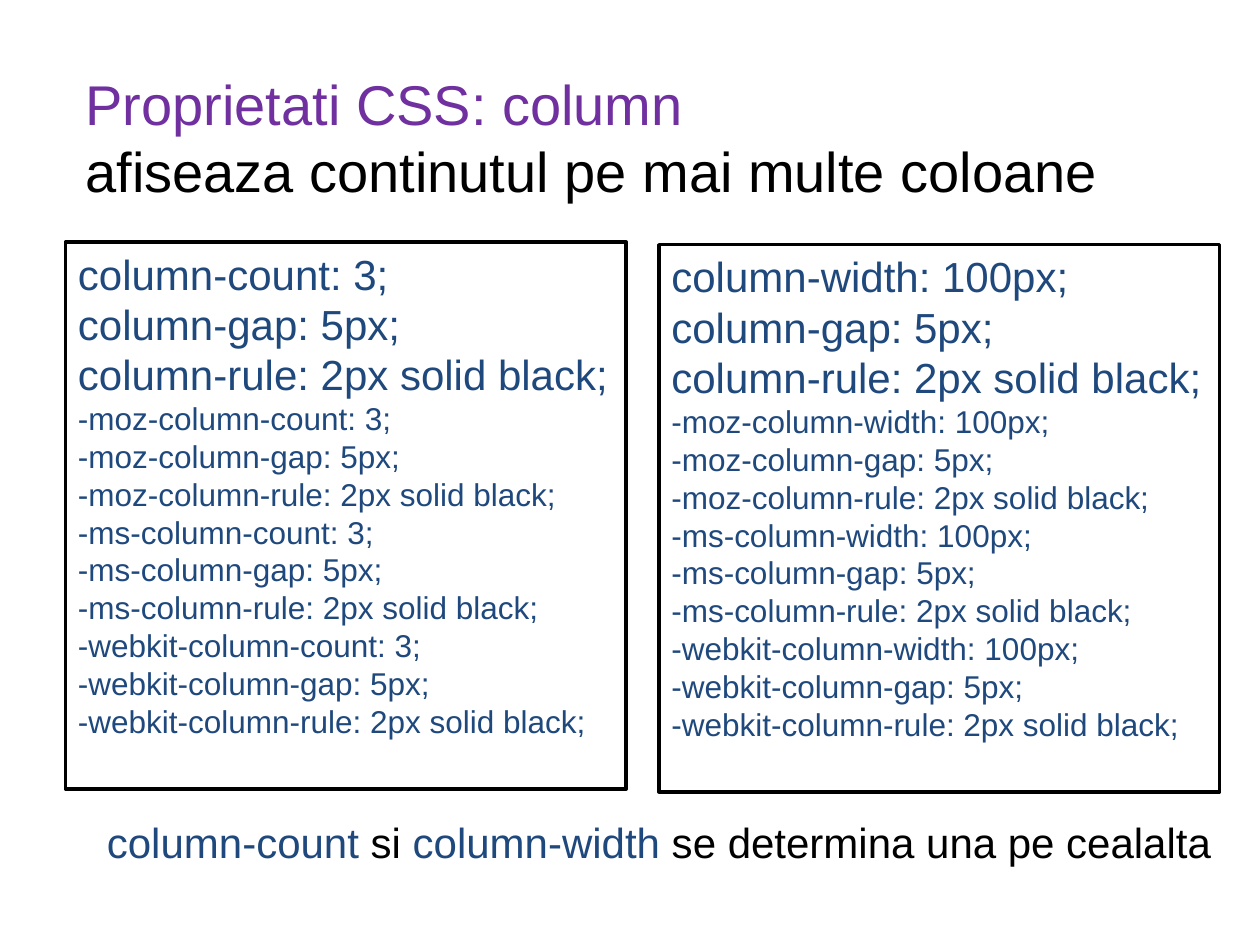
"""Build the slide on the CSS column properties."""
from dataclasses import dataclass

from pptx import Presentation
from pptx import util as u
from pptx.dml.color import RGBColor
from pptx.enum import shapes, text


@dataclass(frozen=True)
class Theme:
    """Colours, type sizes and line width of the slide."""
    font: str = "Arial"
    ink: str = "000000"
    paper: str = "FFFFFF"
    title: str = "7030A0"
    code: str = "1F497D"
    title_size: int = 32
    code_size: int = 24
    prefix_size: int = 18
    border: int = 2


@dataclass(frozen=True)
class Span:
    """A stretch of text in one format."""
    words: str
    size: int
    color: str


@dataclass(frozen=True)
class Block:
    """A text area placed by shares of the slide's size."""
    left: float
    top: float
    width: float
    height: float
    lines: list[list[Span]]
    framed: bool = False


THEME = Theme()
WIDTH, HEIGHT = u.Inches(10), u.Inches(7.5)
PREFIXES = ("", "-moz-", "-ms-", "-webkit-")


def code_lines(first: str) -> list[list[Span]]:
    """List the declarations once for each vendor prefix."""
    rules = (first, "column-gap: 5px;", "column-rule: 2px solid black;")
    return [
        [Span(prefix + rule, THEME.prefix_size if prefix else THEME.code_size, THEME.code)]
        for prefix in PREFIXES for rule in rules
    ]


def draw_block(page, block: Block) -> None:
    """Draw a text area, with a border where it is framed."""
    place = (int(WIDTH * block.left), int(HEIGHT * block.top),
             int(WIDTH * block.width), int(HEIGHT * block.height))
    if block.framed:
        box = page.shapes.add_shape(shapes.MSO_SHAPE.RECTANGLE, *place)
        box.shadow.inherit = False
        box.fill.solid()
        box.fill.fore_color.rgb = RGBColor.from_string(THEME.paper)
        box.line.color.rgb = RGBColor.from_string(THEME.ink)
        box.line.width = u.Pt(THEME.border)
    else:
        box = page.shapes.add_textbox(*place)
    frame = box.text_frame
    layout = {"word_wrap": True, "vertical_anchor": text.MSO_ANCHOR.TOP}
    for name, value in layout.items():
        setattr(frame, name, value)
    for index, line in enumerate(block.lines):
        para = frame.add_paragraph() if index else frame.paragraphs[0]
        para.alignment = text.PP_ALIGN.LEFT
        for span in line:
            write_span(para, span)


def write_span(para, span: Span) -> None:
    """Add one formatted run to a paragraph."""
    run = para.add_run()
    run.text = span.words
    for name, value in {"name": THEME.font, "size": u.Pt(span.size)}.items():
        setattr(run.font, name, value)
    run.font.color.rgb = RGBColor.from_string(span.color)


def main() -> None:
    """Assemble and save the deck."""
    deck = Presentation()
    deck.slide_width, deck.slide_height = WIDTH, HEIGHT
    page = deck.slides.add_slide(deck.slide_layouts[6])
    title = [
        [Span("Proprietati CSS: column", THEME.title_size, THEME.title)],
        [Span("afiseaza continutul pe mai multe coloane", THEME.title_size, THEME.ink)],
    ]
    note = [[
        Span("column-count ", THEME.code_size, THEME.code),
        Span("si ", THEME.code_size, THEME.ink),
        Span("column-width", THEME.code_size, THEME.code),
        Span(" se determina una pe cealalta", THEME.code_size, THEME.ink),
    ]]
    blocks = (
        Block(0.058, 0.067, 0.835, 0.341, title),
        Block(0.052, 0.256, 0.445, 0.579, code_lines("column-count: 3;"), True),
        Block(0.523, 0.259, 0.445, 0.579, code_lines("column-width: 100px;"), True),
        Block(0.075, 0.857, 0.914, 0.067, note),
    )
    for block in blocks:
        draw_block(page, block)
    deck.save("out.pptx")


main()
